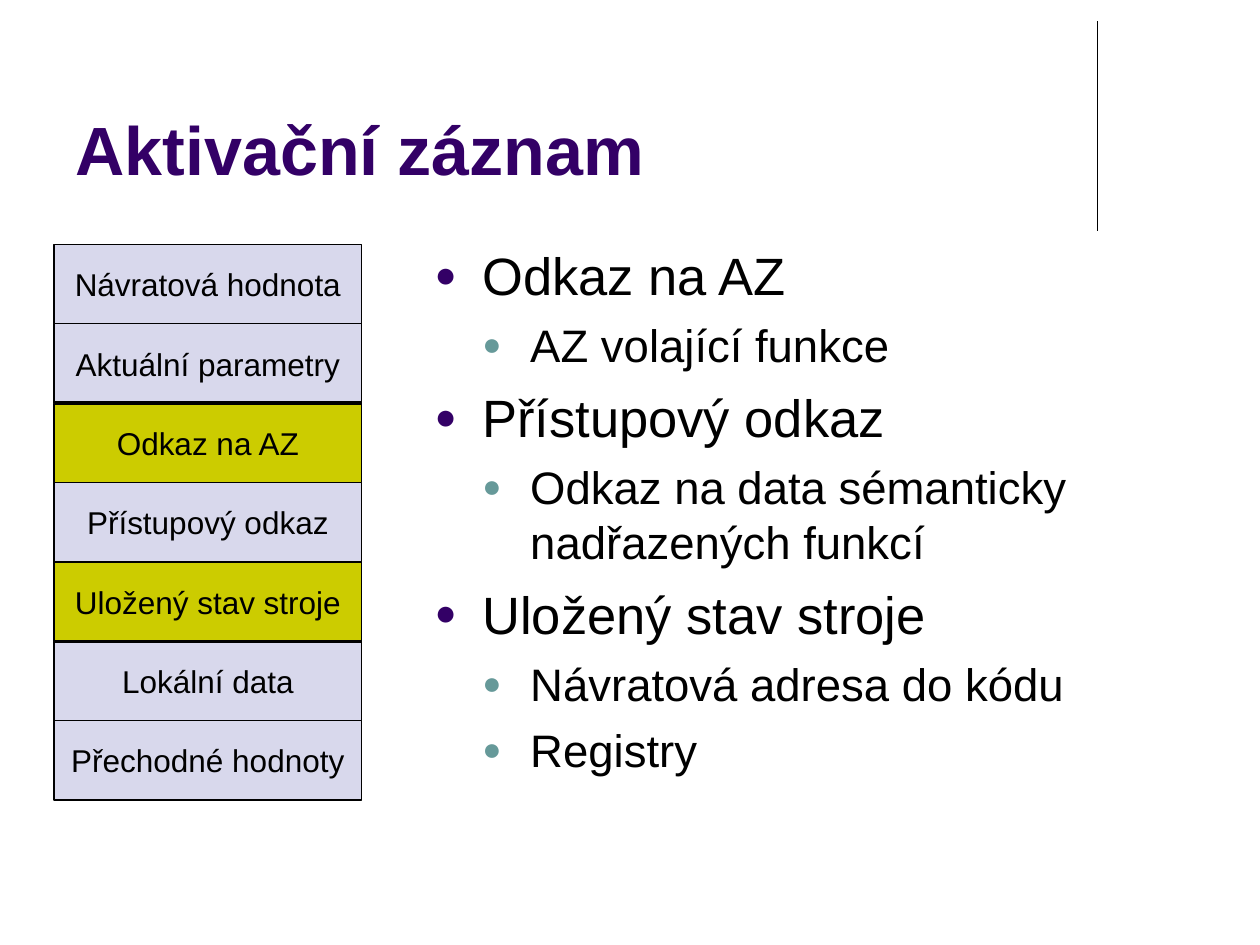
"""Build the slide on activation records: a stack of fields beside a bulleted outline."""
from typing import NamedTuple

from lxml import etree
from pptx import Presentation
from pptx import util as u
from pptx.dml.color import RGBColor
from pptx.enum import shapes, text
from pptx.oxml.ns import qn

COLORS = {
    "ink": "000000",
    "heading": "330066",
    "sub_bullet": "669999",
    "field": "D8D8EC",
    "highlight": "CCCC00",
}
FONT = "Arial"
SLIDE_WIDTH, SLIDE_HEIGHT = u.Inches(10), u.Inches(7.5)


class Frame(NamedTuple):
    """Left, top, width and height in percent of the slide."""
    left: float
    top: float
    width: float
    height: float

    def lengths(self) -> tuple:
        return across(self.left), down(self.top), across(self.width), down(self.height)


class Level(NamedTuple):
    size: float
    space_before: float
    indent: float
    bullet: str


class Item(NamedTuple):
    level: int
    wording: str


class Field(NamedTuple):
    wording: str
    fill: str = "field"


TITLE = Frame(5, 1.73, 82.5, 18.93)
OUTLINE = Frame(33.5, 25.07, 61.5, 70.13)
FIRST_FIELD = Frame(4.3, 25.87, 24.4, 8.4)
HANGING = 0.38
LEVELS = [
    Level(30, 7.5, HANGING, "heading"),
    Level(26, 6.5, 2 * HANGING, "sub_bullet"),
]
ITEMS = [
    Item(0, "Odkaz na AZ"),
    Item(1, "AZ volající funkce"),
    Item(0, "Přístupový odkaz"),
    Item(1, "Odkaz na data sémanticky nadřazených funkcí"),
    Item(0, "Uložený stav stroje"),
    Item(1, "Návratová adresa do kódu"),
    Item(1, "Registry"),
]
FIELDS = [
    Field("Návratová hodnota"),
    Field("Aktuální parametry"),
    Field("Odkaz na AZ", "highlight"),
    Field("Přístupový odkaz"),
    Field("Uložený stav stroje", "highlight"),
    Field("Lokální data"),
    Field("Přechodné hodnoty"),
]
HEAVY_RULE_ROWS = (2, 5)


def across(percent: float) -> int:
    return round(SLIDE_WIDTH * percent / 100)


def down(percent: float) -> int:
    return round(SLIDE_HEIGHT * percent / 100)


def color(name: str) -> RGBColor:
    return RGBColor.from_string(COLORS[name])


def add_run(paragraph, wording: str, size: float, ink: str = "ink", bold: bool = False) -> None:
    run = paragraph.add_run()
    run.text = wording
    run.font.name, run.font.size, run.font.bold = FONT, u.Pt(size), bold
    run.font.color.rgb = color(ink)


def add_line(slide, start: tuple, end: tuple, width: float) -> None:
    line = slide.shapes.add_connector(
        shapes.MSO_CONNECTOR.STRAIGHT,
        across(start[0]), down(start[1]), across(end[0]), down(end[1]))
    line.line.color.rgb = color("ink")
    line.line.width = u.Pt(width)
    etree.SubElement(line._element.spPr, qn("a:effectLst"))


def add_text_frame(slide, frame: Frame, anchor):
    text_frame = slide.shapes.add_textbox(*frame.lengths()).text_frame
    text_frame.word_wrap = True
    text_frame.vertical_anchor = anchor
    return text_frame


def set_bullet(paragraph, level: Level) -> None:
    properties = paragraph._p.get_or_add_pPr()
    properties.set("marL", str(u.Inches(level.indent)))
    properties.set("indent", str(-u.Inches(HANGING)))
    bullet_color = etree.SubElement(properties, qn("a:buClr"))
    etree.SubElement(bullet_color, qn("a:srgbClr"), val=COLORS[level.bullet])
    etree.SubElement(properties, qn("a:buSzPct"), val="70000")
    etree.SubElement(properties, qn("a:buFont"), typeface=FONT)
    etree.SubElement(properties, qn("a:buChar"), char="●")


def add_outline(slide, frame: Frame, items: list[Item]) -> None:
    text_frame = add_text_frame(slide, frame, text.MSO_ANCHOR.TOP)
    for index, item in enumerate(items):
        paragraph = text_frame.add_paragraph() if index else text_frame.paragraphs[0]
        level = LEVELS[item.level]
        paragraph.level = item.level
        set_bullet(paragraph, level)
        paragraph.space_before = u.Pt(level.space_before if index else 0)
        add_run(paragraph, item.wording, level.size)


def add_field(slide, frame: Frame, field: Field) -> None:
    shape = slide.shapes.add_shape(shapes.MSO_SHAPE.RECTANGLE, *frame.lengths())
    shape.shadow.inherit = False
    shape.fill.solid()
    shape.fill.fore_color.rgb = color(field.fill)
    shape.line.color.rgb = color("ink")
    shape.line.width = u.Pt(0.75)
    shape.text_frame.word_wrap = False
    shape.text_frame.vertical_anchor = text.MSO_ANCHOR.MIDDLE
    paragraph = shape.text_frame.paragraphs[0]
    paragraph.alignment = text.PP_ALIGN.CENTER
    add_run(paragraph, field.wording, 18)


def row_top(row: int) -> float:
    return FIRST_FIELD.top + row * FIRST_FIELD.height


def main() -> None:
    presentation = Presentation()
    presentation.slide_width, presentation.slide_height = SLIDE_WIDTH, SLIDE_HEIGHT
    slide = presentation.slides.add_slide(presentation.slide_layouts[6])

    add_line(slide, (87.1, 2.27), (87.1, 24.4), 0.75)
    title = add_text_frame(slide, TITLE, text.MSO_ANCHOR.BOTTOM)
    add_run(title.paragraphs[0], "Aktivační záznam", 39, "heading", bold=True)
    add_outline(slide, OUTLINE, ITEMS)

    for row, field in enumerate(FIELDS):
        add_field(slide, FIRST_FIELD._replace(top=row_top(row)), field)
    right = FIRST_FIELD.left + FIRST_FIELD.width
    for row in HEAVY_RULE_ROWS:
        add_line(slide, (FIRST_FIELD.left, row_top(row)), (right, row_top(row)), 2)

    presentation.save("out.pptx")


if __name__ == "__main__":
    main()
